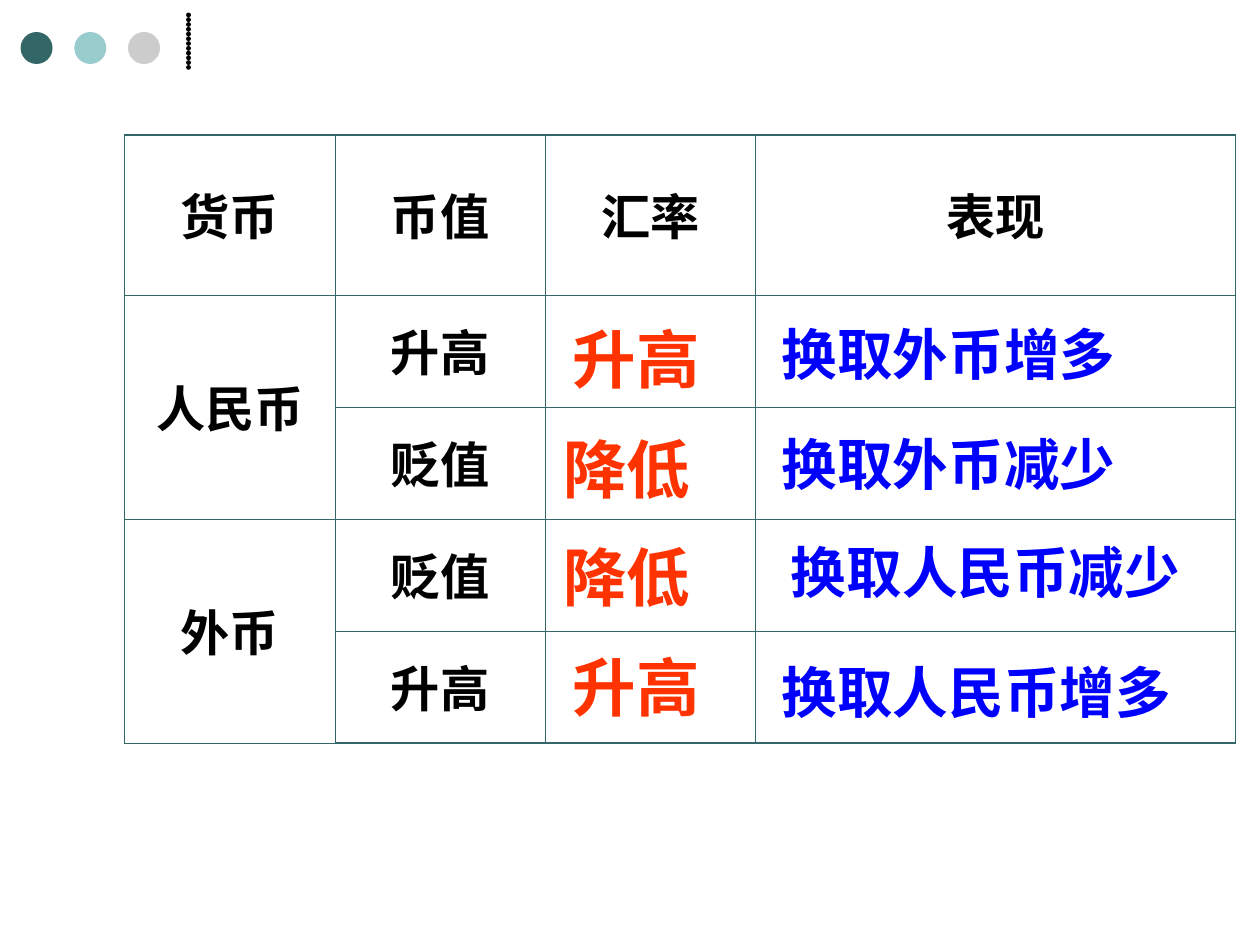
from dataclasses import dataclass

from lxml import etree
from pptx import Presentation
from pptx.dml.color import RGBColor
from pptx.enum import shapes, text
from pptx.oxml import ns
from pptx.util import Inches, Pt


@dataclass(frozen=True)
class Theme:
    font: str = "Arial"
    ink: str = "000000"
    teal: str = "336666"
    aqua: str = "99CCCC"
    grey: str = "CCCCCC"
    rate: str = "FF3300"
    effect: str = "0000FF"
    cell_size: int = 31
    rate_size: int = 40
    effect_size: int = 35
    thin: float = 0.45
    thick: float = 1.08


T = Theme()
PLAIN_TABLE = "{2D5ABB26-0587-4C30-8999-92F81FD0307C}"
COLS = [1.84, 1.84, 1.84, 4.2]
ROWS = [1.4] + [0.98] * 4
CELLS = [
    ["货币", "币值", "汇率", "表现"],
    ["人民币", "升高", "", ""],
    ["", "贬值", "", ""],
    ["外币", "贬值", "", ""],
    ["", "升高", "", ""],
]
# Answer, left and top, relative to the table
RATES = [("升高", 3.81, 1.56), ("降低", 3.73, 2.52),
         ("降低", 3.73, 3.47), ("升高", 3.81, 4.43)]
EFFECTS = [("换取外币增多", 5.64, 1.56), ("换取外币减少", 5.64, 2.52),
           ("换取人民币减少", 5.72, 3.47), ("换取人民币增多", 5.64, 4.52)]


def write(tf, words, size, color, align=text.PP_ALIGN.LEFT):
    p = tf.paragraphs[0]
    p.alignment = align
    r = p.add_run()
    r.text = words
    r.font.name, r.font.size, r.font.bold = T.font, Pt(size), True
    r.font.color.rgb = RGBColor.from_string(color)
    ea = etree.SubElement(r.font._element, ns.qn("a:ea"))
    ea.set("typeface", T.font)


def set_borders(cell, widths):
    tcPr = cell._tc.get_or_add_tcPr()
    for i, (side, width) in enumerate(widths.items()):
        ln = etree.Element(ns.qn(f"a:ln{side}"), w=str(Pt(width)))
        fill = etree.SubElement(ln, ns.qn("a:solidFill"))
        etree.SubElement(fill, ns.qn("a:srgbClr"), val=T.teal)
        tcPr.insert(i, ln)


def add_ornament(s, left, top):
    # Three dots
    for i, color in enumerate([T.teal, T.aqua, T.grey]):
        dot = s.shapes.add_shape(
            shapes.MSO_SHAPE.OVAL, Inches(left + i * 0.47),
            Inches(top + 0.19), Inches(0.28), Inches(0.28))
        dot.shadow.inherit = False
        dot.fill.solid()
        dot.fill.fore_color.rgb = RGBColor.from_string(color)
        dot.line.fill.background()

    # Dotted rule: round dots set one line width apart
    x = Inches(left + 1.47)
    rule = s.shapes.add_connector(shapes.MSO_CONNECTOR.STRAIGHT,
                                  x, Inches(top + 0.5), x, Inches(top))
    rule.line.color.rgb = RGBColor.from_string(T.ink)
    rule.line.width = Pt(3)
    ln = rule.line._ln
    ln.set("cap", "rnd")
    dash = etree.SubElement(ln, ns.qn("a:custDash"))
    etree.SubElement(dash, ns.qn("a:ds"), d="1000", sp="99000")
    etree.SubElement(rule._element.spPr, ns.qn("a:effectLst"))


def add_currency_table(s, left, top):
    frame = s.shapes.add_table(len(ROWS), len(COLS), Inches(left), Inches(top),
                               Inches(sum(COLS)), Inches(sum(ROWS)))
    table = frame.table
    table.first_row = table.horz_banding = False
    table._tbl.tblPr.find(ns.qn("a:tableStyleId")).text = PLAIN_TABLE
    for column, width in zip(table.columns, COLS):
        column.width = Inches(width)
    for row, height in zip(table.rows, ROWS):
        row.height = Inches(height)

    last_row, last_col = len(ROWS) - 1, len(COLS) - 1
    for i, row in enumerate(CELLS):
        for j, words in enumerate(row):
            cell = table.cell(i, j)
            cell.fill.background()
            cell.vertical_anchor = text.MSO_ANCHOR.MIDDLE
            cell.margin_left = cell.margin_right = Inches(0.11)
            cell.margin_top, cell.margin_bottom = Inches(0.12), Inches(0.05)
            outer = {"L": j == 0, "R": j == last_col,
                     "T": i == 0, "B": i == last_row}
            set_borders(cell, {side: T.thick if edge else T.thin
                               for side, edge in outer.items()})
            if words:
                write(cell.text_frame, words, T.cell_size, T.ink,
                      text.PP_ALIGN.CENTER)
    for i in (1, 3):
        table.cell(i, 0).merge(table.cell(i + 1, 0))


def add_answers(s, left, top, answers, width, height, size, color):
    for words, dx, dy in answers:
        box = s.shapes.add_textbox(Inches(left + dx), Inches(top + dy),
                                   Inches(width), Inches(height))
        tf = box.text_frame
        tf.word_wrap = True
        tf.margin_left = tf.margin_right = Inches(0.11)
        tf.margin_top = tf.margin_bottom = Inches(0.06)
        write(tf, words, size, color)


def main():
    prs = Presentation()
    # 28 by 21 cm
    prs.slide_width, prs.slide_height = Inches(28 / 2.54), Inches(21 / 2.54)
    s = prs.slides.add_slide(prs.slide_layouts[6])
    left, top = 1.09, 1.18
    add_ornament(s, 0.18, 0.09)
    add_currency_table(s, left, top)
    add_answers(s, left, top, RATES, 1.48, 0.78, T.rate_size, T.rate)
    add_answers(s, left, top, EFFECTS, 3.91, 0.69, T.effect_size, T.effect)
    prs.save("out.pptx")


if __name__ == "__main__":
    main()
